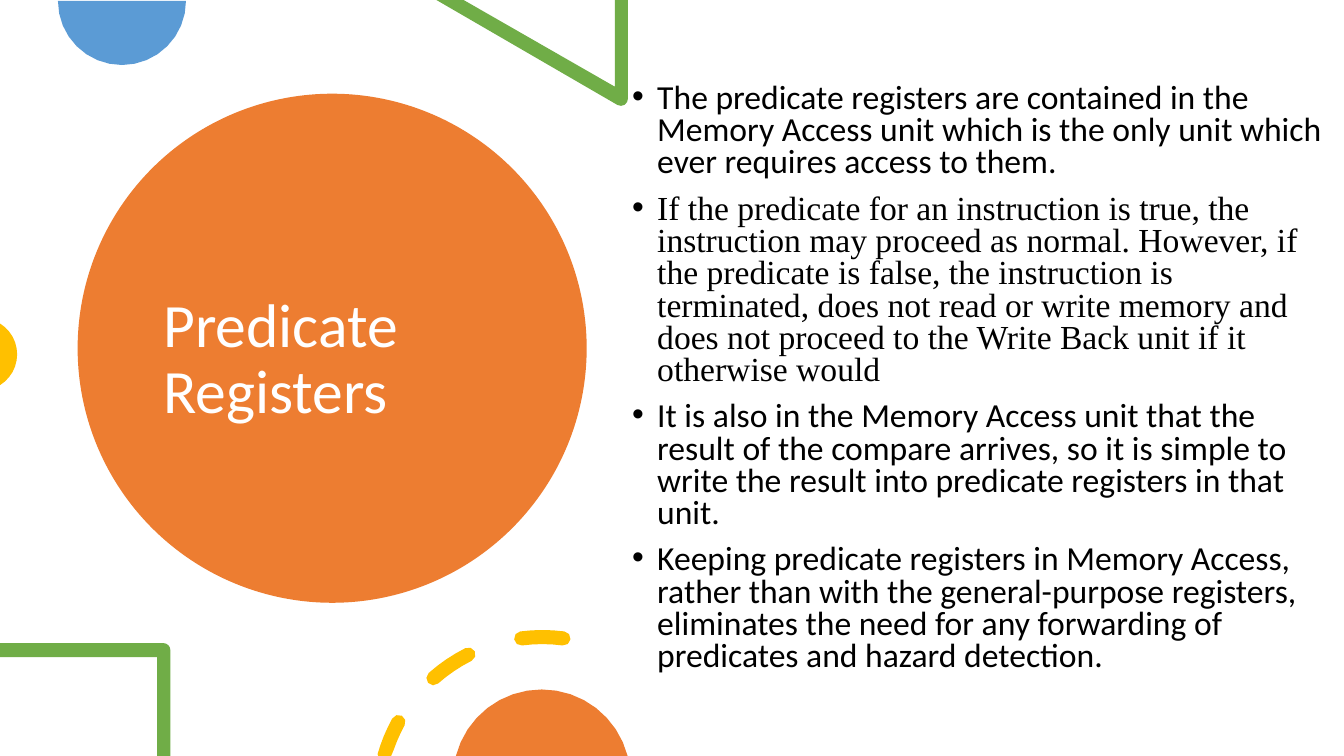
from math import cos, radians, sin
from pptx import Presentation
from pptx.dml.color import RGBColor
from pptx.enum.shapes import MSO_SHAPE
from pptx.enum.text import MSO_ANCHOR, MSO_AUTO_SIZE, PP_ALIGN
from pptx.util import Inches, Pt

COLS, ROWS = 133.33, 75
CELL = Inches(0.1)
HUES = {
    "orange": "ED7D31",
    "blue": "5B9BD5",
    "green": "70AD47",
    "gold": "FFC000",
    "white": "FFFFFF",
    "black": "000000",
}
SANS, SERIF = "Calibri", "Times New Roman"
POINTS = [
    ("The predicate registers are contained in the Memory Access unit which is "
     "the only unit which ever requires access to them.", SANS),
    ("If the predicate for an instruction is true, the instruction may proceed as "
     "normal. However, if the predicate is false, the instruction is terminated, "
     "does not read or write memory and does not proceed to the Write Back unit "
     "if it otherwise would", SERIF),
    ("It is also in the Memory Access unit that the result of the compare arrives, "
     "so it is simple to write the result into predicate registers in that unit.", SANS),
    ("Keeping predicate registers in Memory Access, rather than with the "
     "general-purpose registers, eliminates the need for any forwarding of "
     "predicates and hazard detection.", SANS),
]


def arc(x, y, size, start, end, steps=4):
    turns = [radians(start + (end - start) * i / steps) for i in range(steps + 1)]
    return [(x + size * cos(t), y - size * sin(t)) for t in turns]


def dash(x, y, size, half, start, end):
    first, last = arc(x, y, size, start, end, 1)
    return (arc(x, y, size + half, start, end)
            + arc(*last, half, end, end + 180)
            + arc(x, y, size - half, end, start)
            + arc(*first, half, start + 180, start + 360))


class Deck:
    def __init__(self):
        self.file = Presentation()
        self.file.slide_width = int(COLS * CELL)
        self.file.slide_height = ROWS * CELL
        self.slide = self.file.slides.add_slide(self.file.slide_layouts[1])

    def paint(self, shape, hue):
        shape.shadow.inherit = False
        shape.fill.solid()
        shape.fill.fore_color.rgb = RGBColor.from_string(HUES[hue])
        shape.line.fill.background()

    def round(self, box, hue):
        area = [int(n * CELL) for n in box]
        self.paint(self.slide.shapes.add_shape(MSO_SHAPE.OVAL, *area), hue)

    def form(self, dots, hue):
        spots = [(max(0, x) * CELL, min(max(0, y), ROWS) * CELL) for x, y in dots]
        pen = self.slide.shapes.build_freeform(*spots[0])
        pen.add_line_segments(spots[1:])
        self.paint(pen.convert_to_shape(), hue)

    def place(self, holder, box, anchor):
        holder.left, holder.top, holder.width, holder.height = [
            int(n * CELL) for n in box]
        self.slide.shapes._spTree.append(holder._element)
        frame = holder.text_frame
        frame.word_wrap = True
        frame.auto_size = MSO_AUTO_SIZE.NONE
        frame.vertical_anchor = anchor
        return frame

    def style(self, para, face, size, hue, pitch):
        para.alignment = PP_ALIGN.LEFT
        para.line_spacing = pitch
        para.font.name = face
        para.font.size = Pt(size)
        para.font.color.rgb = RGBColor.from_string(HUES[hue])

    def title(self, text, box):
        frame = self.place(self.slide.shapes.title, box, MSO_ANCHOR.MIDDLE)
        frame.text = text
        self.style(frame.paragraphs[0], SANS, 44, "white", 0.9)

    def list(self, items, box):
        frame = self.place(self.slide.placeholders[1], box, MSO_ANCHOR.TOP)
        frame.text = "\n".join(text for text, face in items)
        for para, (text, face) in zip(frame.paragraphs, items):
            self.style(para, face, 24, "black", 0.8)
            para.space_before = Pt(10)
            props = para._p.get_or_add_pPr()
            props.set("marL", str(Inches(0.25)))
            props.set("indent", str(-Inches(0.25)))


def main():
    deck = Deck()
    deck.round((7.7, 9.3, 50.5, 50.5), "orange")
    deck.title("Predicate Registers", (15.2, 13.5, 35.4, 44.5))
    deck.form(arc(12.1, 0.1, 6.35, 180, 360, 16), "blue")
    deck.form([(43.3, 0), (46, 0), (61, 8.6), (61, 0), (62.3, 0)]
              + arc(61.6, 9.8, 0.7, 0, -118), "green")
    deck.form(arc(-1.9, 35.15, 3.6, -58.1, 58.1, 12), "gold")
    deck.list(POINTS, (61.7, 7.8, 71.6, 66))
    deck.form([(0, 63.8)] + arc(16.2, 64.5, 0.7, 90, 0)
              + [(16.9, 75), (15.6, 75), (15.6, 65.2), (0, 65.2)], "green")
    for start, end in ((82.6, 97.4), (116.7, 131.5), (151.1, 164)):
        deck.form(dash(53.8, 79.5, 16.3, 0.7, start, end), "gold")
    deck.form(arc(53.75, 77.2, 8.8, 14.5, 165.5, 16), "orange")
    deck.file.save("out.pptx")


if __name__ == "__main__":
    main()
